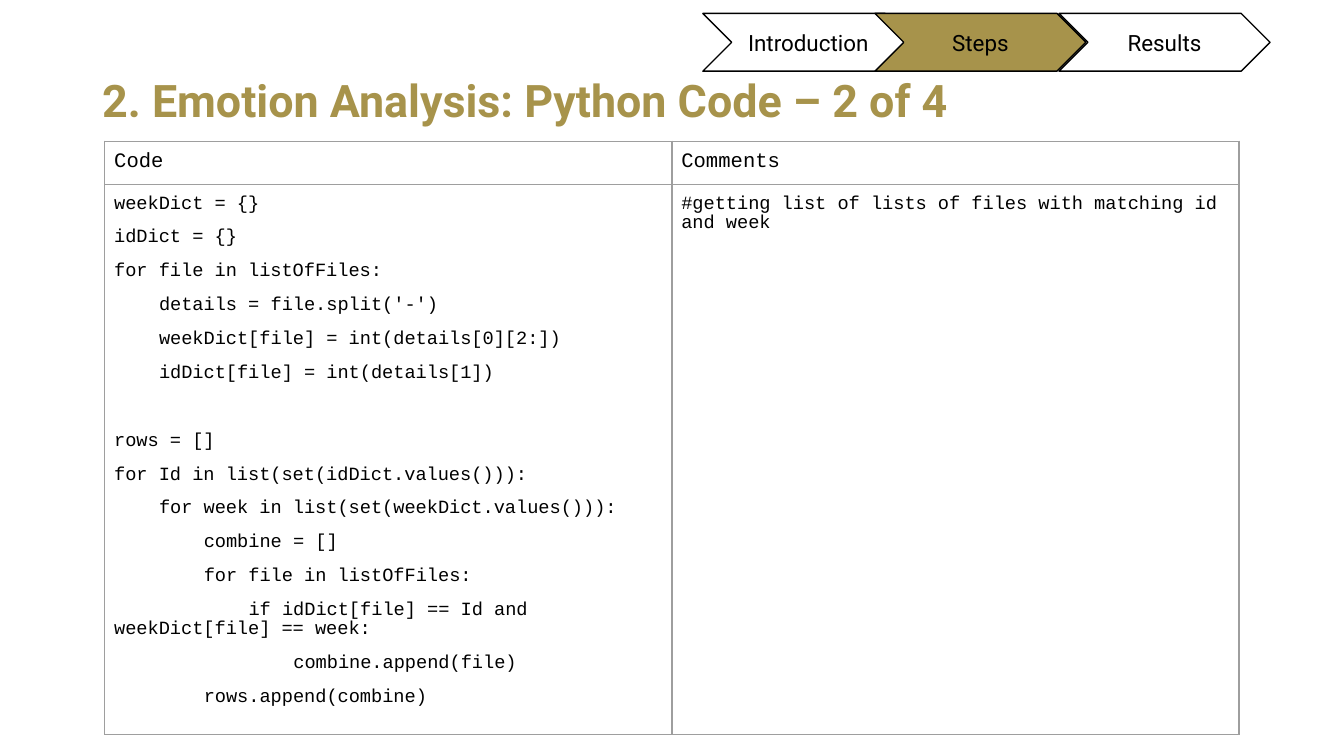
from pptx import Presentation
from pptx.dml.color import RGBColor
from pptx.enum.shapes import MSO_SHAPE as Shape
from pptx.enum.text import MSO_ANCHOR as Anchor, PP_ALIGN as Align
from pptx.oxml.ns import qn
from pptx.util import Inches, Pt
from lxml.etree import SubElement

GOLD, BLACK, WHITE, GREY = "A7934B", "000000", "FFFFFF", "9E9E9E"


def color(value):
    return RGBColor.from_string(value)


def add_run(paragraph, text, font, size, ink=BLACK, bold=False):
    run = paragraph.add_run()
    run.text = text
    run.font.name = font
    run.font.size = Pt(size)
    run.font.bold = bold
    run.font.color.rgb = color(ink)


# Widescreen slide, 16:9
presentation = Presentation()
presentation.slide_width = Inches(10)
presentation.slide_height = Inches(10 * 9 / 16)
slide = presentation.slides.add_slide(presentation.slide_layouts[6])

# Title
title = slide.shapes.add_textbox(Inches(0.69), Inches(0.25), Inches(8.62), Inches(1.04))
frame = title.text_frame
frame.word_wrap = True
frame.vertical_anchor = Anchor.MIDDLE
frame.margin_left = frame.margin_right = Inches(0.07)
frame.margin_top = frame.margin_bottom = Inches(0.04)
paragraph = frame.paragraphs[0]
paragraph.line_spacing = 0.9
add_run(paragraph, "2. Emotion Analysis: Python Code – 2 of 4", "Roboto", 24, GOLD, True)

# Table grid: rows grow to fit their text
table = slide.shapes.add_table(2, 2, Inches(0.78), Inches(1.05), Inches(8.44), Inches(0.62)).table
table.first_row = table.horz_banding = False
for column in table.columns:
    column.width = Inches(4.22)
for row in table.rows:
    row.height = Inches(0.31)
for cell in table.iter_cells():
    cell.margin_left = cell.margin_right = Inches(0.07)
    cell.margin_top = cell.margin_bottom = Inches(0.07)
    properties = cell._tc.get_or_add_tcPr()
    for side in ("a:lnL", "a:lnR", "a:lnT", "a:lnB"):
        border = SubElement(properties, qn(side), w=str(Pt(0.75)))
        fill = SubElement(border, qn("a:solidFill"))
        SubElement(fill, qn("a:srgbClr"), val=GREY)
    cell.fill.background()

# Table header
for column, heading in enumerate(["Code", "Comments"]):
    add_run(table.cell(0, column).text_frame.paragraphs[0], heading, "Courier New", 11)

# Code lines: indent level and text, in two blocks
code_blocks = [
    [
        (0, "weekDict = {}"),
        (0, "idDict = {}"),
        (0, "for file in listOfFiles:"),
        (1, "details = file.split('-')"),
        (1, "weekDict[file] = int(details[0][2:])"),
        (1, "idDict[file] = int(details[1])"),
    ],
    [
        (0, "rows = []"),
        (0, "for Id in list(set(idDict.values())):"),
        (1, "for week in list(set(weekDict.values())):"),
        (2, "combine = []"),
        (2, "for file in listOfFiles:"),
        (3, "if idDict[file] == Id and weekDict[file] == week:"),
        (4, "combine.append(file)"),
        (2, "rows.append(combine)"),
    ],
]
frame = table.cell(1, 0).text_frame
paragraph = frame.paragraphs[0]
for block_number, block in enumerate(code_blocks):
    for line_number, (level, text) in enumerate(block):
        if block_number or line_number:
            paragraph = frame.add_paragraph()
        starts_later_block = block_number > 0 and line_number == 0
        paragraph.space_before = Pt(26.2 if starts_later_block else 8)
        paragraph.line_spacing = 0.9
        # First-line indent of four 6 pt characters per level
        paragraph_properties = paragraph._p.get_or_add_pPr()
        paragraph_properties.set("marL", "0")
        paragraph_properties.set("indent", str(Pt(24 * level)))
        add_run(paragraph, text, "Courier New", 10)

# Comment
paragraph = table.cell(1, 1).text_frame.paragraphs[0]
paragraph.line_spacing = 0.9
add_run(paragraph, "#getting list of lists of files with matching id and week", "Courier New", 10)

# Progress chevrons
for left, label, background in [
    (5.23, "Introduction", WHITE),
    (6.51, "Steps", GOLD),
    (7.88, "Results", WHITE),
]:
    chevron = slide.shapes.add_shape(
        Shape.CHEVRON, Inches(left), Inches(0.1), Inches(1.57), Inches(0.43))
    chevron.shadow.inherit = False
    chevron.adjustments[0] = 0.5
    chevron.fill.solid()
    chevron.fill.fore_color.rgb = color(background)
    chevron.line.color.rgb = color(BLACK)
    chevron.line.width = Pt(0.75)
    frame = chevron.text_frame
    frame.word_wrap = True
    frame.vertical_anchor = Anchor.MIDDLE
    frame.margin_left = frame.margin_right = Inches(0.1)
    frame.margin_top = frame.margin_bottom = Inches(0.1)
    paragraph = frame.paragraphs[0]
    paragraph.alignment = Align.CENTER
    add_run(paragraph, label, "Roboto", 12)

presentation.save("out.pptx")
